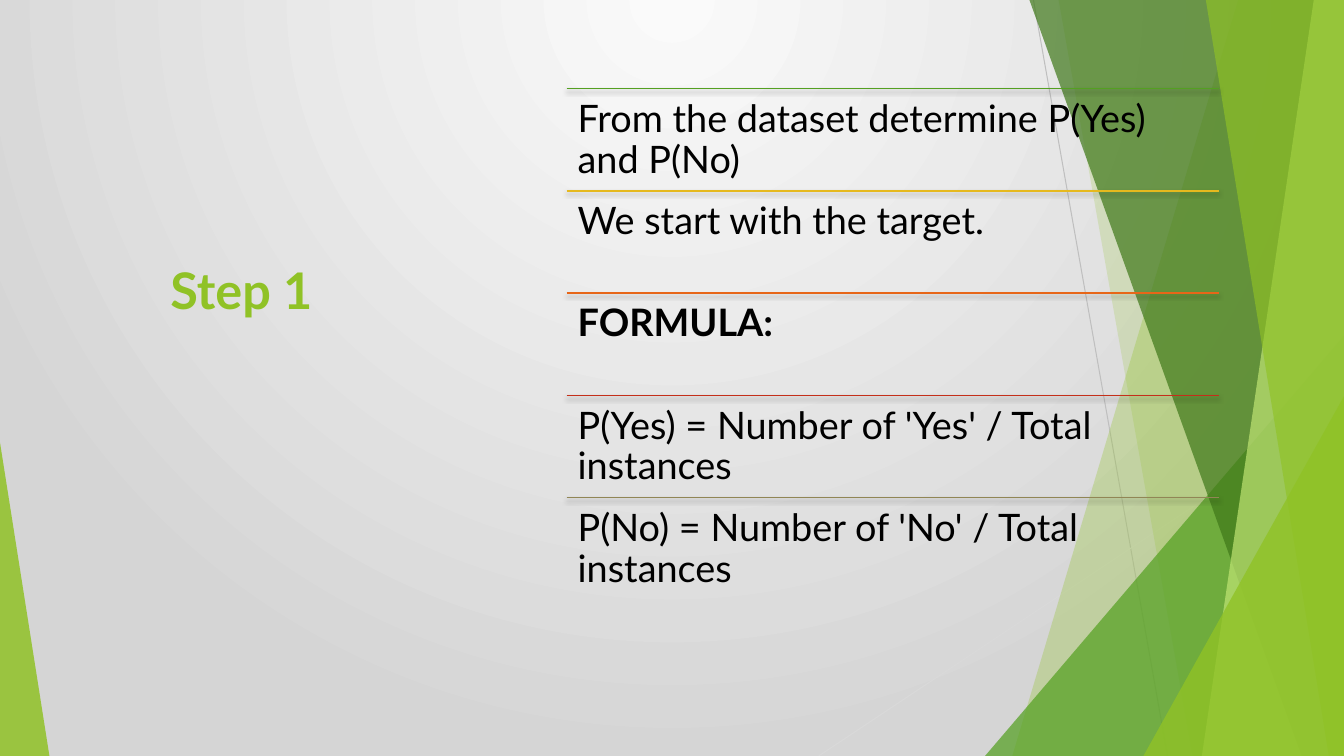
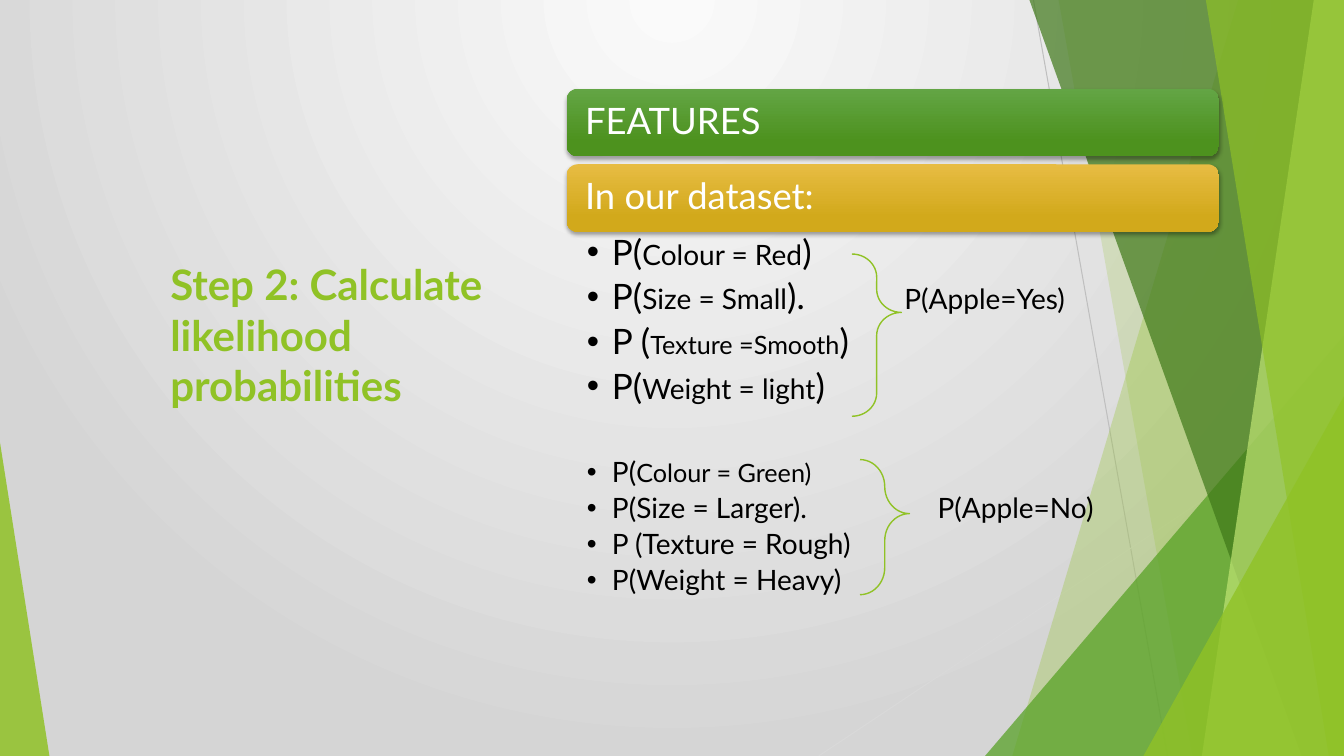
import pptx
import pptx.dml.color
import pptx.enum.shapes
import pptx.enum.text
import pptx.oxml.ns
import pptx.oxml.xmlchemy
import pptx.util
import lxml.etree
from dataclasses import dataclass

Inches = pptx.util.Inches
Pt = pptx.util.Pt
SHAPE = pptx.enum.shapes.MSO_SHAPE
ANCHOR = pptx.enum.text.MSO_ANCHOR
qn = pptx.oxml.ns.qn


@dataclass(frozen=True)
class Theme:
    font: str = "Lato"
    wide: float = 13.33
    high: float = 7.5
    # Colours
    lime: str = "90C226"
    green: str = "54A021"
    dark: str = "3F7819"
    pale: str = "C0E474"
    black: str = "000000"
    white: str = "FFFFFF"
    back: tuple = ("FAFAFA", "D5D5D5")
    rays: tuple = ("BFBFBF", "D9D9D9")
    rules: tuple = ("54A021", "E6B91E", "E76618", "C42F1A", "918655")
    bars: tuple = (("63A545", "4D921E"), ("E7BC43", "D2A91B"))
    # Type sizes
    head: int = 36
    long: int = 30
    body: int = 27
    bar: int = 26
    large: int = 25
    mid: int = 20
    small: int = 18


THEME = Theme()
LEFT, TOP, WIDTH = 5.62, 0.88, 6.47  # right-hand content column


def tint(code):
    return pptx.dml.color.RGBColor.from_string(code)


def node(parent, tag, **attrs):
    """Append one XML child and return it."""
    return lxml.etree.SubElement(parent, qn(tag), {k: str(v) for k, v in attrs.items()})


def write(para, text, size=THEME.body, color=THEME.black, bold=False):
    """Add one run of text to a paragraph."""
    run = para.add_run()
    run.text = text
    font = run.font
    font.name, font.size, font.bold = THEME.font, Pt(size), bold
    font.color.rgb = tint(color)
    return run


def blend(fill, colors, end=1.0):
    """Two-colour gradient running from top to bottom."""
    fill.gradient()
    fill.gradient_angle = 270
    for stop, color, place in zip(fill.gradient_stops, colors, (0, end)):
        stop.color.rgb = tint(color)
        stop.position = place


def shade(shape):
    """Soft shadow just below a shape or line."""
    props = shape.element.spPr
    for old in props.findall(qn("a:effectLst")):
        props.remove(old)
    cast = node(node(props, "a:effectLst"), "a:outerShdw", blurRad=Pt(3), dist=Pt(2),
                dir=5400000, algn="ctr", rotWithShape=0)
    node(node(cast, "a:srgbClr", val=THEME.black), "a:alpha", val=35000)


class Deck:
    def __init__(self, theme):
        self.theme = theme
        self.file = pptx.Presentation()
        self.file.slide_width = Inches(theme.wide)
        self.file.slide_height = Inches(theme.high)
        self.slide = None

    def start(self, title, size):
        """New slide with backdrop and title."""
        self.slide = self.file.slides.add_slide(self.file.slide_layouts[6])
        self.fade()
        self.facets()
        frame = self.box(1.59, 2.52, 3.58, 2.92, (0.1, 0.05))
        write(frame.paragraphs[0], title, size=size, color=self.theme.lime, bold=True)

    def fade(self):
        """Round gradient that is brightest at the top centre."""
        blend(self.slide.background.fill, self.theme.back)
        ramp = next(self.slide.element.iter(qn("a:gradFill")))
        ramp.remove(ramp.find(qn("a:lin")))
        node(node(ramp, "a:path", path="circle"), "a:fillToRect",
             l=43000, t=0, r=43000, b=100000)

    def facets(self):
        """Overlapping green facets at both edges."""
        t = self.theme
        self.line((10.25, 0), (11.58, t.high), t.rays[0], 0.75)
        self.line((t.wide, 4.03), (8.12, t.high), t.rays[1], 0.75)
        self.wedge(12.28, 10.04, t.lime, 30)
        self.wedge(10.5, 11.83, t.lime, 20)
        self.peak(9.77, 3.33, 3.56, 1, t.green, 72)
        self.wedge(10.21, 12.91, t.dark, 70)
        self.wedge(13.03, 11.92, t.pale, 70)
        self.wedge(11.96, 13.18, t.lime, 65)
        self.peak(11.34, 3.93, 1.99, 1, t.lime, 80)
        self.peak(0, 4.39, 0.49, 0, t.lime, 85)

    def paint(self, shape, color, alpha):
        """Flat see-through fill, no outline."""
        shape.shadow.inherit = False
        shape.line.fill.background()
        shape.fill.solid()
        shape.fill.fore_color.rgb = tint(color)
        node(next(shape.element.spPr.iter(qn("a:srgbClr"))), "a:alpha", val=alpha * 1000)

    def wedge(self, top, base, color, alpha):
        """Full-height facet from a slanted side to the right edge."""
        t = self.theme
        spots = [(top, 0), (t.wide, 0), (t.wide, t.high), (base, t.high)]
        spots = [(Inches(x), Inches(y)) for x, y in spots]
        path = self.slide.shapes.build_freeform(*spots[0], scale=1.0)
        path.add_line_segments(spots[1:], close=True)
        self.paint(path.convert_to_shape(), color, alpha)

    def shape(self, kind, x, y, w, h):
        item = self.slide.shapes.add_shape(kind, Inches(x), Inches(y), Inches(w), Inches(h))
        item.shadow.inherit = False
        return item

    def peak(self, x, y, w, tip, color, alpha):
        """Right triangle standing on the bottom edge."""
        item = self.shape(SHAPE.ISOSCELES_TRIANGLE, x, y, w, self.theme.high - y)
        item.adjustments[0] = tip
        self.paint(item, color, alpha)

    def line(self, start, end, color, width):
        ends = [Inches(n) for n in (*start, *end)]
        item = self.slide.shapes.add_connector(
            pptx.enum.shapes.MSO_CONNECTOR.STRAIGHT, *ends)
        item.line.color.rgb = tint(color)
        item.line.width = Pt(width)
        node(item.element.spPr, "a:effectLst")
        return item

    def inset(self, frame, pads):
        frame.word_wrap = True
        frame.margin_left = frame.margin_right = Inches(pads[0])
        frame.margin_top = frame.margin_bottom = Inches(pads[1])
        return frame

    def box(self, x, y, w, h, pads=(0, 0)):
        item = self.slide.shapes.add_textbox(Inches(x), Inches(y), Inches(w), Inches(h))
        return self.inset(item.text_frame, pads)

    def row(self, y, h, text, color, bold=False):
        """Ruled row of the text column."""
        shade(self.line((LEFT, y), (LEFT + WIDTH, y), color, 1))
        para = self.box(LEFT, y, WIDTH, h, (0.11, 0.11)).paragraphs[0]
        para.line_spacing = 0.9
        write(para, text, bold=bold)

    def bar(self, y, text, colors):
        """Rounded heading bar."""
        item = self.shape(SHAPE.ROUNDED_RECTANGLE, LEFT, y, WIDTH, 0.67)
        item.line.fill.background()
        blend(item.fill, colors, 0.78)
        shade(item)
        frame = self.inset(item.text_frame, (0.15, 0.11))
        frame.vertical_anchor = ANCHOR.MIDDLE
        para = frame.paragraphs[0]
        para.alignment = pptx.enum.text.PP_ALIGN.LEFT
        para.line_spacing = 0.9
        write(para, text, size=self.theme.bar, color=self.theme.white)

    def points(self, y, h, groups, gap):
        """Bulleted groups; each point is a list of (text, size) runs."""
        frame = self.box(LEFT, y, WIDTH, h, (0.2, 0.03))
        para = None
        for group in groups:
            for spot, runs in enumerate(group):
                first = para is None
                para = frame.paragraphs[0] if first else frame.add_paragraph()
                para.line_spacing = 0.9
                para.space_before = Pt(gap if spot == 0 and not first else 0)
                para.space_after = Pt(0.2 * max(size for _, size in runs))
                props = para._p.get_or_add_pPr()
                props.set("marL", str(Inches(0.25)))
                props.set("indent", str(-Inches(0.25)))
                node(props, "a:buFont", typeface="Arial")
                node(props, "a:buChar", char="•")
                for text, size in runs:
                    write(para, text, size=size)

    def brace(self, x, y, h, bends):
        item = self.shape(SHAPE.RIGHT_BRACE, x, y, 0.49, h)
        item.fill.background()
        item.line.color.rgb = tint(self.theme.lime)
        item.line.width = Pt(1)
        for spot, bend in enumerate(bends):
            item.adjustments[spot] = bend

    def label(self, x, y, text):
        write(self.box(x, y, 2, 0.35).paragraphs[0], text, size=self.theme.mid)


def main():
    t = THEME
    deck = Deck(t)

    # Step 1: ruled rows
    deck.start("Step 1", t.head)
    rows = ["From the dataset determine P(Yes) and P(No)",
            "We start with the target.",
            "FORMULA:",
            "P(Yes) = Number of 'Yes' / Total instances",
            "P(No) = Number of 'No' / Total instances"]
    pitch = 5.07 / len(rows)
    for spot, (text, color) in enumerate(zip(rows, t.rules)):
        deck.row(TOP + spot * pitch, pitch, text, color, bold=text == "FORMULA:")

    # Step 2: heading bars
    deck.start("Step 2: Calculate likelihood probabilities", t.long)
    for spot, text in enumerate(("FEATURES", "In our dataset:")):
        deck.bar(TOP + spot * 0.75, text, t.bars[spot])

    # Points for each class
    yes = [[(lead, t.large), (text, size), (tail, t.large)] for lead, text, size, tail in (
        ("P(", "Colour = Red", t.mid, ")"),
        ("P(", "Size = Small", t.mid, ")."),
        ("P (", "Texture =Smooth", t.small, ")"),
        ("P(", "Weight = light", t.mid, ")"))]
    no = [[("P(", t.mid), ("Colour = Green)", t.small)]]
    no += [[(text, t.mid)] for text in
           ("P(Size = Larger).", "P (Texture = Rough)", "P(Weight = Heavy)")]
    deck.points(2.3, 3.65, (yes, no), gap=32)

    # Braces and their labels
    deck.brace(8.45, 2.52, 1.61, (0.47, 0.36))
    deck.label(8.97, 2.79, "P(Apple=Yes)")
    deck.brace(8.53, 4.56, 1.34, (0.69, 0.4))
    deck.label(9.3, 4.87, "P(Apple=No)")

    deck.file.save("out.pptx")


if __name__ == "__main__":
    main()
